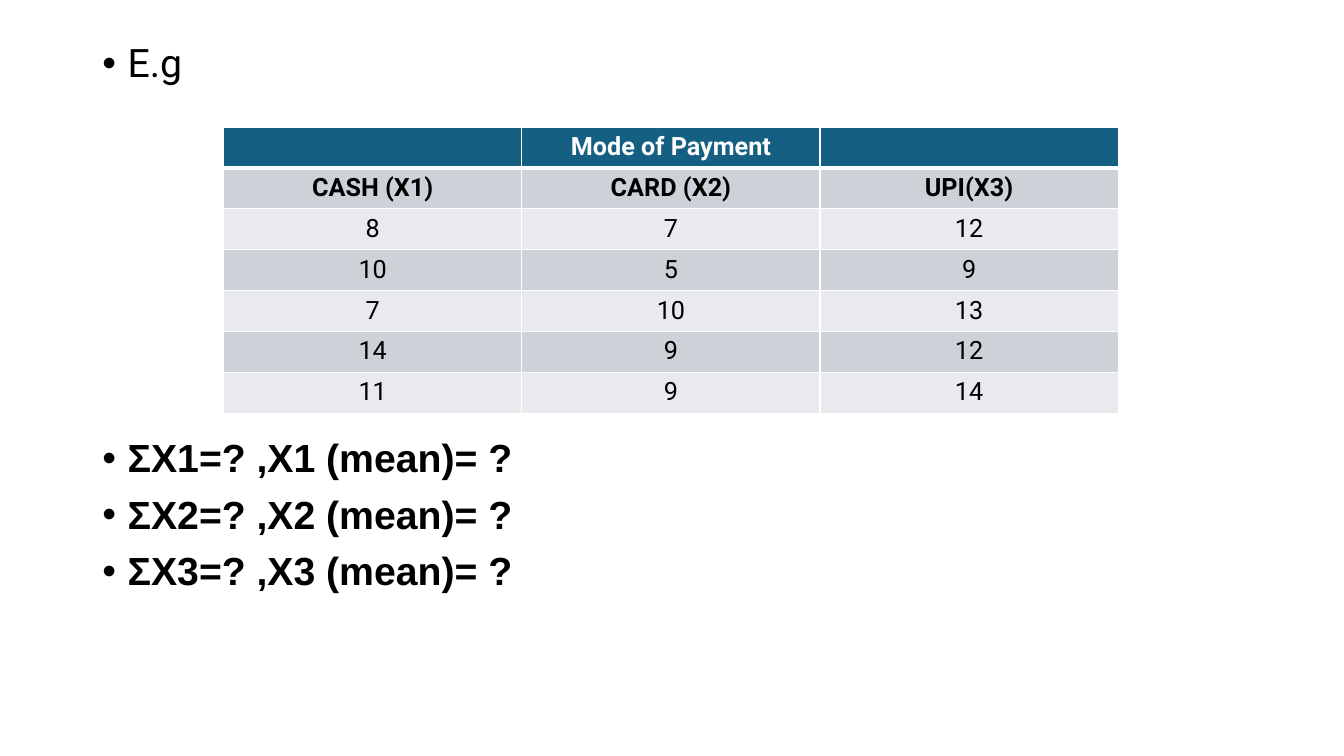
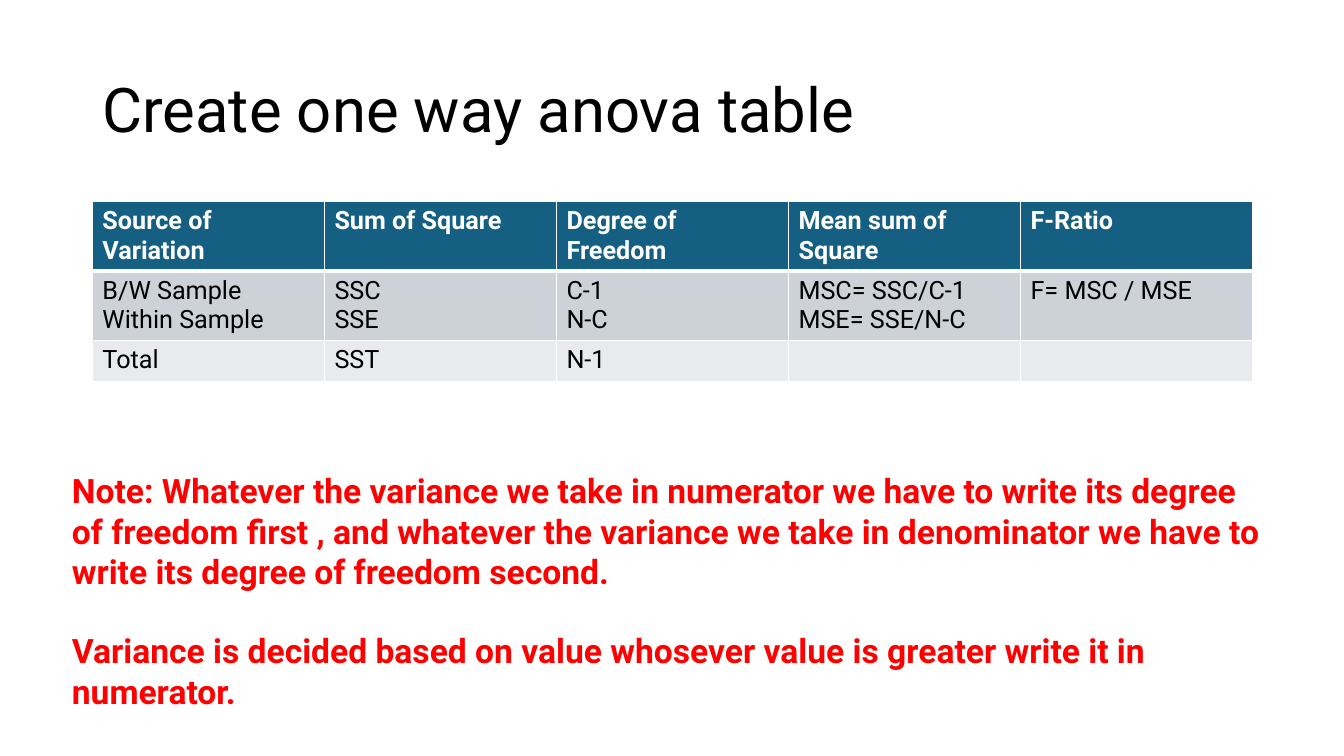
"""Build two slides on one-way ANOVA."""
from lxml import etree
from pptx import Presentation
from pptx import util as u
from pptx.dml.color import RGBColor
from pptx.enum import text
from pptx.oxml.ns import qn

PX = 9525
HUES = {"ink": "000000", "head": "156082", "odd": "CCD2D8",
        "even": "E8EAED", "white": "FFFFFF", "note": "FF0000"}
FACE = "Roboto"
LEFT, MID = text.PP_ALIGN.LEFT, text.PP_ALIGN.CENTER

MODES = [["", "Mode of Payment", ""],
         ["CASH (X1)", "CARD (X2)", "UPI(X3)"],
         ["8", "7", "12"],
         ["10", "5", "9"],
         ["7", "10", "13"],
         ["14", "9", "12"],
         ["11", "9", "14"]]
ANOVA = [["Source of Variation", "Sum of Square", "Degree of Freedom",
          "Mean sum of Square", "F-Ratio"],
         ["B/W Sample\nWithin Sample", "SSC\nSSE", "C-1\nN-C",
          "MSC= SSC/C-1\nMSE= SSE/N-C", "F= MSC / MSE"],
         ["Total", "SST", "N-1", "", ""]]
NOTES = ["Note: Whatever the variance we take in numerator we have to write "
         "its degree of freedom first , and whatever the variance we take in "
         "denominator we have to write its degree of freedom second.",
         "Variance is decided based on value whosever value is greater "
         "write it in numerator."]


def tint(hue):
    return RGBColor.from_string(HUES[hue])


def put(item, **vals):
    for name, val in vals.items():
        setattr(item, name, val)


def place(shape, left, top, width, height):
    put(shape, left=left * PX, top=top * PX,
        width=width * PX, height=height * PX)


def style(para, size, hue="ink", bold=False, face=FACE, **form):
    put(para, **form)
    put(para.font, size=u.Pt(size), bold=bold, name=face)
    para.font.color.rgb = tint(hue)


def bullet(para):
    props = para._p.get_or_add_pPr()
    put_in = {"marL": "228600", "indent": "-228600"}
    for name, val in put_in.items():
        props.set(name, val)
    etree.SubElement(props, qn("a:buFont")).set("typeface", "Arial")
    etree.SubElement(props, qn("a:buChar")).set("char", "•")


def edge(cell, side, width):
    line = etree.SubElement(cell._tc.get_or_add_tcPr(), qn("a:ln" + side))
    line.set("w", str(u.Pt(width)))
    fill = etree.SubElement(line, qn("a:solidFill"))
    etree.SubElement(fill, qn("a:srgbClr")).set("val", HUES["white"])


def grid(slide, rows, left, top, wide, highs, align, strong):
    """Add a banded table whose first `strong` rows are bold."""
    cols = len(rows[0])
    table = slide.shapes.add_table(
        len(rows), cols, left * PX, top * PX,
        wide * cols * PX, sum(highs) * PX).table
    for col in table.columns:
        col.width = wide * PX
    for r, (row, high) in enumerate(zip(rows, highs)):
        table.rows[r].height = high * PX
        band = "head" if r == 0 else ("even", "odd")[r % 2]
        for c, words in enumerate(row):
            cell = table.cell(r, c)
            for side in "LRTB":
                thick = (r, side) in ((0, "B"), (1, "T"))
                edge(cell, side, 3 if thick else 1)
            cell.fill.solid()
            cell.fill.fore_color.rgb = tint(band)
            cell.text_frame.text = words
            for para in cell.text_frame.paragraphs:
                style(para, 18, "ink" if r else "white", r < strong,
                      alignment=align)


def points(slide):
    """Fill the body with bullets, leaving room for the table."""
    slide.shapes.title.element.getparent().remove(slide.shapes.title.element)
    body = slide.placeholders[1]
    place(body, 88, 37, 1104, 611)
    frame = body.text_frame
    frame.auto_size = text.MSO_AUTO_SIZE.NONE
    sums = [f"ΣX{n}=? ,X{n} (mean)= ?" for n in (1, 2, 3)]
    frame.text = "\n".join(["E.g"] + sums)
    for n, (para, gap) in enumerate(zip(frame.paragraphs, (0, 252, 10, 10))):
        bullet(para)
        style(para, 28, bold=n > 0, face="Arial" if n else FACE,
              line_spacing=0.9, space_before=u.Pt(gap))


def title(slide, words):
    head = slide.shapes.title
    place(head, 88, 38, 1104, 139)
    put(head.text_frame, text=words, auto_size=text.MSO_AUTO_SIZE.NONE,
        vertical_anchor=text.MSO_ANCHOR.MIDDLE)
    style(head.text_frame.paragraphs[0], 44, alignment=LEFT, line_spacing=0.9)


def note(slide, lines):
    box = slide.shapes.add_textbox(59 * PX, 443 * PX, 1155 * PX, 242 * PX)
    put(box.text_frame, word_wrap=True, text="\n".join(lines))
    for n, para in enumerate(box.text_frame.paragraphs):
        style(para, 24, "note", True, space_before=u.Pt(28 if n else 0))


def main():
    deck = Presentation()
    put(deck, slide_width=1280 * PX, slide_height=720 * PX)

    slide = deck.slides.add_slide(deck.slide_layouts[1])
    points(slide)
    grid(slide, MODES, 213, 121, 284, [39] * 7, MID, 2)

    slide = deck.slides.add_slide(deck.slide_layouts[5])
    title(slide, "Create one way anova table")
    grid(slide, ANOVA, 88, 192, 221, [66, 66, 39], LEFT, 1)
    note(slide, NOTES)

    deck.save("out.pptx")


if __name__ == "__main__":
    main()
